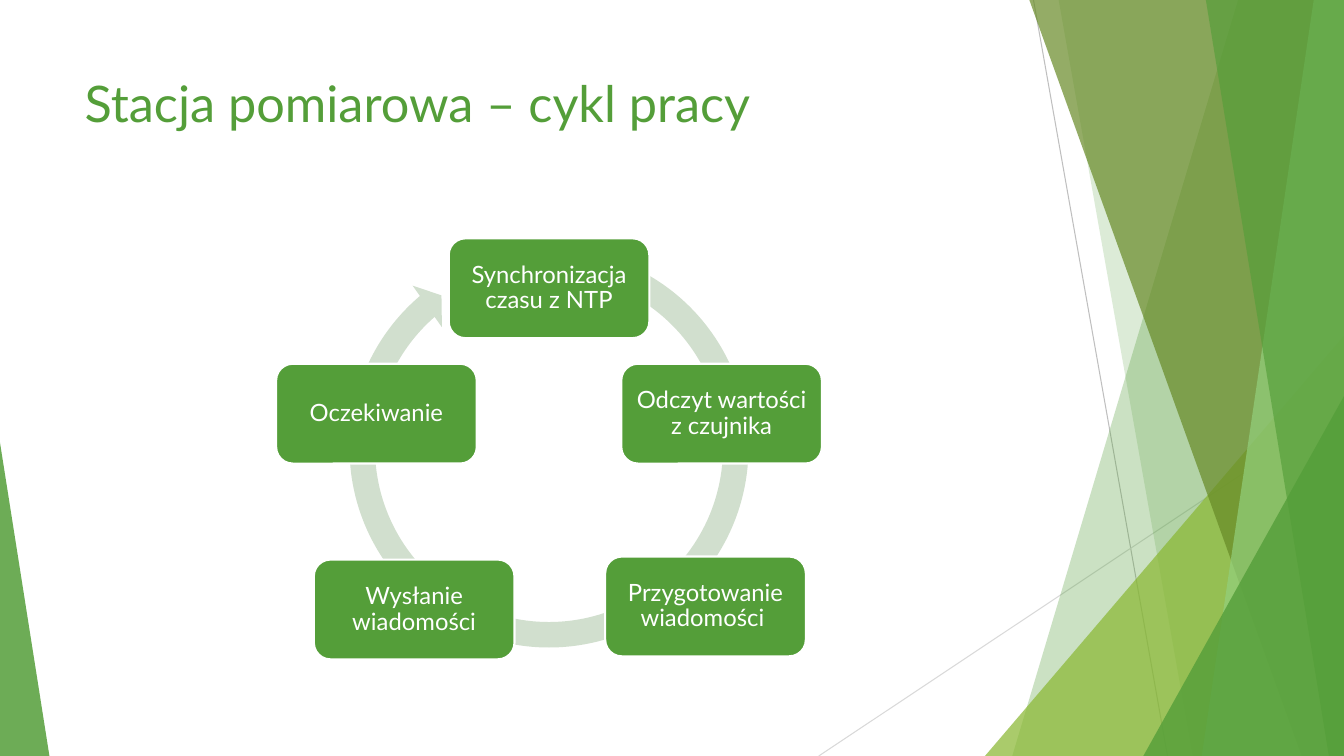
from dataclasses import dataclass
from math import cos, radians, sin

from lxml.etree import SubElement
from pptx import Presentation
from pptx.dml.color import RGBColor
from pptx.enum.shapes import MSO_CONNECTOR, MSO_SHAPE
from pptx.enum.text import MSO_ANCHOR, PP_ALIGN
from pptx.oxml.ns import qn
from pptx.util import Inches, Pt


@dataclass(frozen=True)
class Theme:
    font: str = "Lato"
    title_size: int = 36
    step_size: int = 17
    green: str = "549E39"
    lime: str = "8AB833"
    olive: str = "678A26"
    mint: str = "93D07D"
    ring: str = "D1DFCE"
    white: str = "FFFFFF"
    grey: str = "BFBFBF"
    light_grey: str = "D9D9D9"


class SlideBuilder:
    """Draws on one slide; every length is a percentage of its width or height."""

    def __init__(self, prs, theme):
        self.prs, self.theme = prs, theme
        self.slide = prs.slides.add_slide(prs.slide_layouts[5])
        self.shapes = self.slide.shapes

    def x(self, share):
        return round(self.prs.slide_width * share / 100)

    def y(self, share):
        return round(self.prs.slide_height * share / 100)

    def box(self, left, top, width, height):
        return self.x(left), self.y(top), self.x(width), self.y(height)

    def paint(self, sp, color, opacity=100):
        sp.shadow.inherit = False
        sp.fill.solid()
        sp.fill.fore_color.rgb = RGBColor.from_string(color)
        sp.line.fill.background()
        if opacity < 100:
            clr = sp._element.spPr.find(qn("a:solidFill")).find(qn("a:srgbClr"))
            SubElement(clr, qn("a:alpha"), val=str(opacity * 1000))

    def set_text(self, tf, text, size, color, align):
        tf.text = text
        tf.word_wrap = True
        p = tf.paragraphs[0]
        p.alignment = align
        font = p.runs[0].font
        font.name, font.size = self.theme.font, Pt(size)
        font.color.rgb = RGBColor.from_string(color)
        return p

    def title(self, text, *area):
        sp = self.shapes.title
        sp.left, sp.top, sp.width, sp.height = self.box(*area)
        self.set_text(sp.text_frame, text, self.theme.title_size, self.theme.green, PP_ALIGN.LEFT)
        sp.text_frame.vertical_anchor = MSO_ANCHOR.TOP

    def line(self, x1, y1, x2, y2, color):
        ends = self.x(x1), self.y(y1), self.x(x2), self.y(y2)
        cxn = self.shapes.add_connector(MSO_CONNECTOR.STRAIGHT, *ends)
        cxn.line.color.rgb = RGBColor.from_string(color)
        cxn.line.width = Pt(0.75)
        SubElement(cxn._element.spPr, qn("a:effectLst"))

    def band(self, top_x, bottom_x, color, opacity):
        """Full-height panel with a slanted left edge, reaching the right side."""
        fb = self.shapes.build_freeform(self.x(top_x), 0)
        corners = [(100, 0), (100, 100), (bottom_x, 100)]
        fb.add_line_segments([(self.x(cx), self.y(cy)) for cx, cy in corners], close=True)
        self.paint(fb.convert_to_shape(), color, opacity)

    def corner(self, left, top, width, apex, color, opacity):
        """Triangle on the bottom edge; apex 0 points up at left, 1 at right."""
        area = self.box(left, top, width, 100 - top)
        sp = self.shapes.add_shape(MSO_SHAPE.ISOSCELES_TRIANGLE, *area)
        sp.adjustments[0] = apex
        self.paint(sp, color, opacity)

    def ring_arrow(self, area, adjustments):
        sp = self.shapes.add_shape(MSO_SHAPE.CIRCULAR_ARROW, *self.box(*area))
        for i, value in enumerate(adjustments):
            sp.adjustments[i] = value
        self.paint(sp, self.theme.ring)

    def step(self, text, center_x, center_y, width=14.93, height=13.2):
        area = self.box(center_x - width / 2, center_y - height / 2, width, height)
        sp = self.shapes.add_shape(MSO_SHAPE.ROUNDED_RECTANGLE, *area)
        self.paint(sp, self.theme.green)
        sp.line.color.rgb = RGBColor.from_string(self.theme.white)
        sp.line.width = Pt(1.5)
        tf = sp.text_frame
        tf.margin_left = tf.margin_right = self.x(0.53)
        tf.margin_top = tf.margin_bottom = self.y(0.93)
        tf.vertical_anchor = MSO_ANCHOR.MIDDLE
        p = self.set_text(tf, text, self.theme.step_size, self.theme.white, PP_ALIGN.CENTER)
        p.line_spacing = 0.9

    def cycle(self, steps, center, radius):
        """Spread steps clockwise from the top, each with its own nudge."""
        for i, (text, dx, dy) in enumerate(steps):
            angle = radians(360 * i / len(steps) - 90)
            self.step(text, center[0] + radius[0] * cos(angle) + dx,
                      center[1] + radius[1] * sin(angle) + dy)


def draw_backdrop(s):
    t = s.theme
    s.line(76.9, 0, 86.87, 100, t.grey)
    s.line(100, 53.73, 60.92, 100, t.light_grey)
    s.band(92.12, 75.32, t.green, 30)
    s.band(78.77, 88.75, t.green, 20)
    s.corner(73.29, 44.4, 26.71, 1, t.lime, 72)
    s.band(76.59, 96.85, t.olive, 70)
    s.band(97.75, 89.42, t.mint, 70)
    s.band(89.72, 98.87, t.green, 65)
    s.corner(85.07, 52.4, 14.93, 1, t.green, 80)
    s.corner(0, 58.53, 3.68, 0, t.green, 85)


def main():
    prs = Presentation()
    prs.slide_width, prs.slide_height = Inches(13.33), Inches(7.5)
    s = SlideBuilder(prs, Theme())
    draw_backdrop(s)
    s.title("Stacja pomiarowa – cykl pracy", 5.55, 8.93, 70.52, 19.2)
    s.ring_arrow((25.06, 31.2, 31.58, 56.13), (0.06, 3.31, 137.6, 173.95, 0.06))
    steps = [
        ("Synchronizacja czasu z NTP", 0, 0),
        ("Odczyt wartości z czujnika", 0, 0),
        ("Przygotowanie wiadomości ", 3.71, -1.33),
        ("Wysłanie wiadomości", -2.1, -0.93),
        ("Oczekiwanie", 0, 0),
    ]
    s.cycle(steps, center=(40.85, 62.13), radius=(13.5, 24))
    prs.save("out.pptx")


if __name__ == "__main__":
    main()
